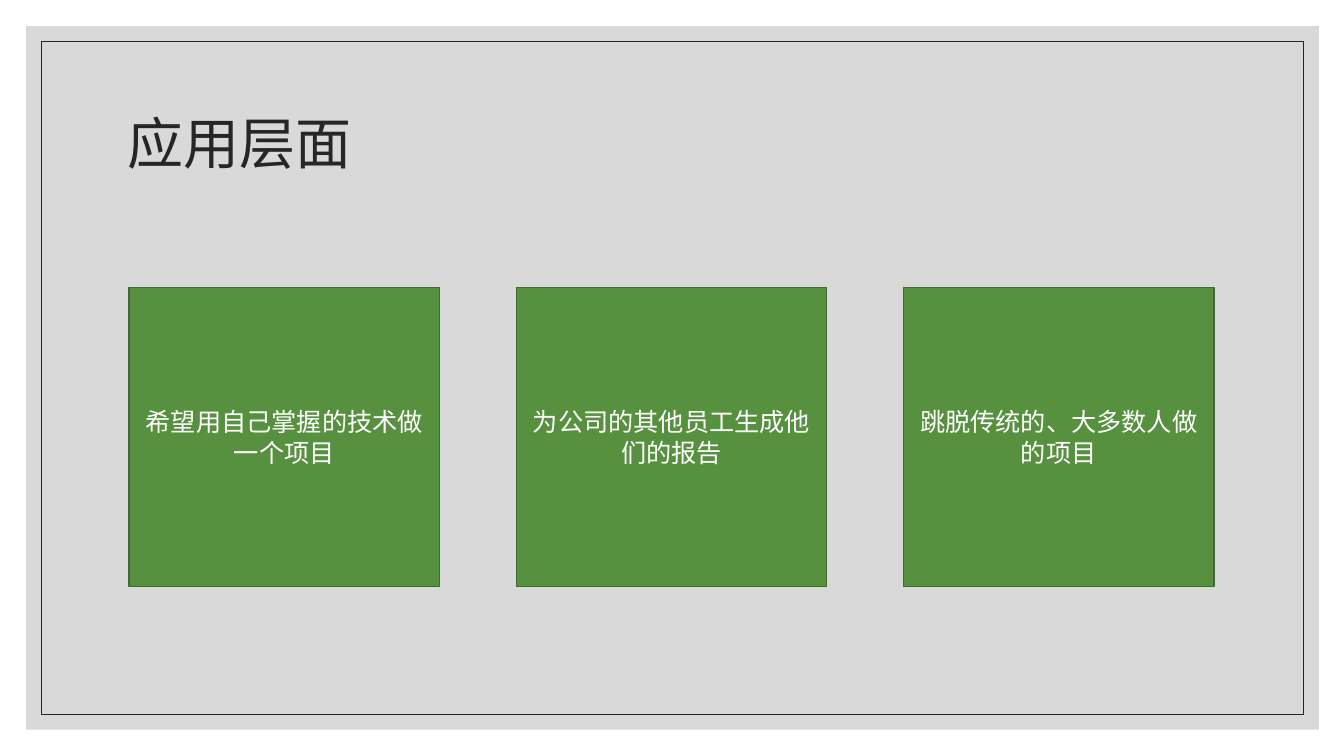
from lxml.etree import SubElement
from pptx import Presentation
from pptx.dml.color import RGBColor
from pptx.enum.shapes import MSO_SHAPE
from pptx.enum.text import MSO_ANCHOR, PP_ALIGN
from pptx.oxml.ns import qn
from pptx.util import Inches, Pt

FONT = "Noto Sans CJK SC"


def add_box(left, top, width, height, fill=None, line=None, line_width=1):
    """Add a shadowless rectangle; a missing fill or line colour means none."""
    box = slide.shapes.add_shape(MSO_SHAPE.RECTANGLE, Inches(left), Inches(top),
                                 Inches(width), Inches(height))
    box.shadow.inherit = False
    for part, color in ((box.fill, fill), (box.line.fill, line)):
        if color:
            part.solid()
            part.fore_color.rgb = RGBColor.from_string(color)
        else:
            part.background()
    if line:
        box.line.width = Pt(line_width)
    return box


def write_text(shape, text, size, color, align):
    """Fill a shape with one vertically centred paragraph."""
    frame = shape.text_frame
    frame.word_wrap = True
    frame.vertical_anchor = MSO_ANCHOR.MIDDLE
    paragraph = frame.paragraphs[0]
    paragraph.text = text
    paragraph.alignment = align
    font = paragraph.font
    font.size = Pt(size)
    font.color.rgb = RGBColor.from_string(color)
    font.name = FONT
    # Chinese characters take their typeface from a:ea
    defaults = paragraph._p.pPr.find(qn("a:defRPr"))
    SubElement(defaults, qn("a:ea"), typeface=FONT)
    return paragraph


prs = Presentation()
prs.slide_width = Inches(13.33)
prs.slide_height = Inches(7.5)
slide = prs.slides.add_slide(prs.slide_layouts[6])

# Grey panel with a thin inner frame
add_box(0.26, 0.26, 12.82, 6.98, fill="D9D9D9")
add_box(0.41, 0.41, 12.52, 6.68, line="262626", line_width=0.5)

title = slide.shapes.add_textbox(Inches(1.17), Inches(0.7), Inches(11), Inches(1.5))
heading = write_text(title, "应用层面", 40, "262626", PP_ALIGN.LEFT)
heading.line_spacing = 0.9

# Three evenly spaced cards
goals = ["希望用自己掌握的技术做一个项目",
         "为公司的其他员工生成他们的报告",
         "跳脱传统的、大多数人做的项目"]
for column, goal in enumerate(goals):
    card = add_box(1.28 + 3.84 * column, 2.85, 3.08, 2.97, fill="57903F", line="406B2F")
    write_text(card, goal, 18, "FFFFFF", PP_ALIGN.CENTER)

prs.save("out.pptx")
